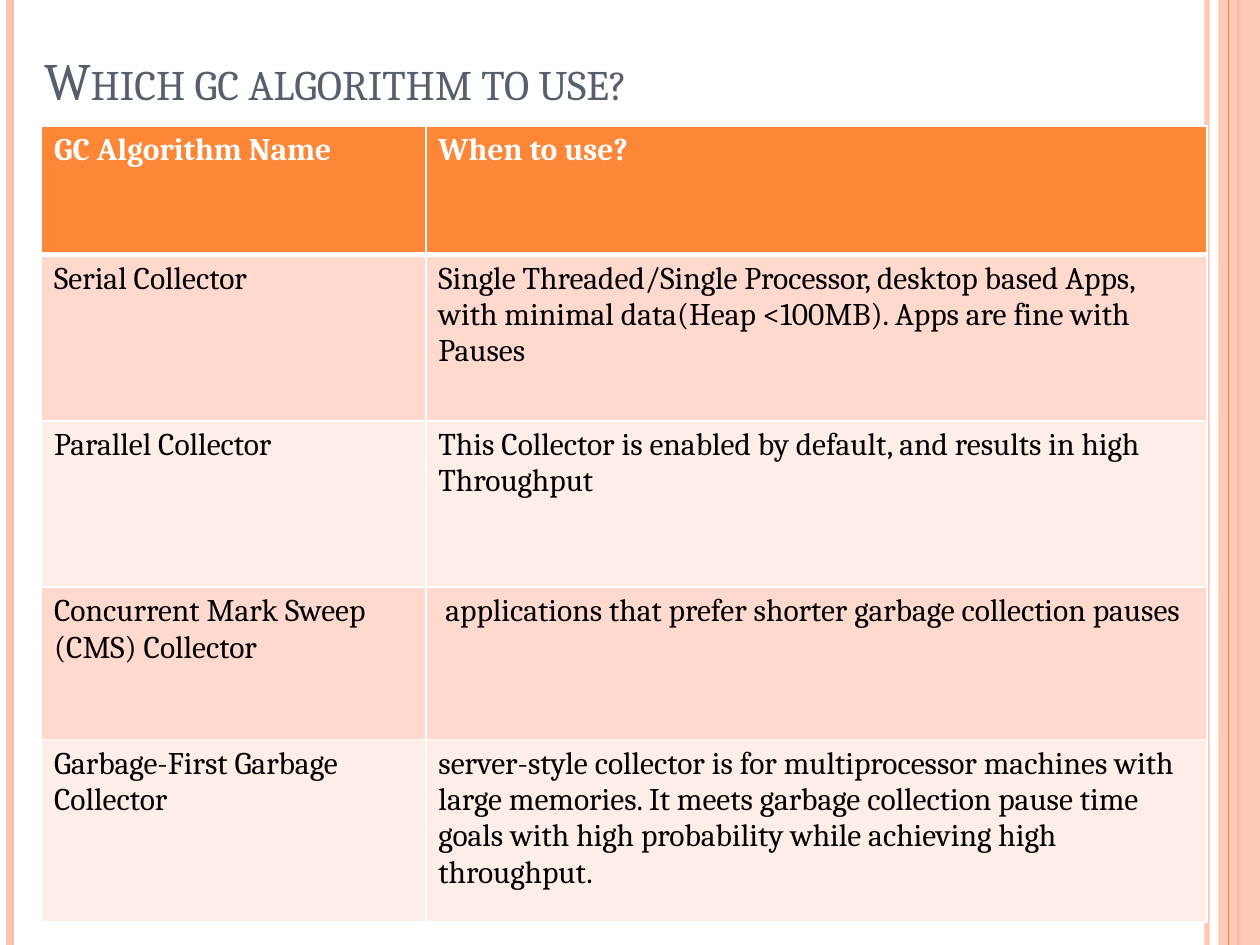
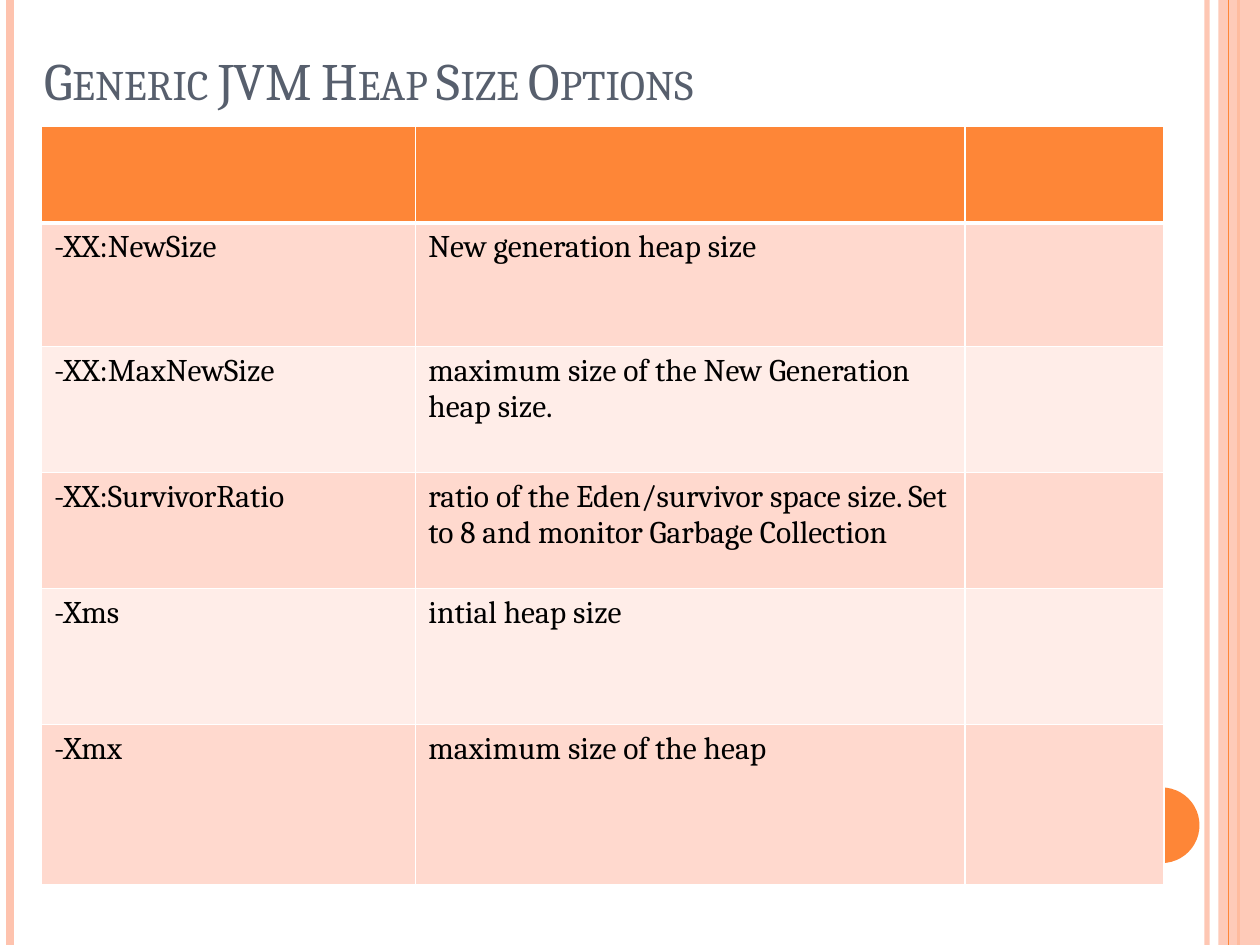
from pptx import Presentation
from pptx.dml.color import RGBColor
from pptx.enum import shapes, text
from pptx.oxml import parse_xml
from pptx.oxml.ns import nsdecls, qn
from pptx.util import Inches, Pt

FONT = "Cambria"
ORANGE, PEACH, SLATE = "FE8637", "FEC3AE", "575F6D"
WHITE, BLACK = "FFFFFF", "000000"
BANDS = ["FFD9CE", "FFEDE8"]


def paint(target, color, alpha=100):
    """Give a fill or line format a solid colour, with optional opacity."""
    target.solid()
    target.fore_color.rgb = RGBColor.from_string(color)
    if alpha < 100:
        clr = target._xPr.find(".//" + qn("a:srgbClr"))
        clr.append(parse_xml(
            f'<a:alpha {nsdecls("a")} val="{alpha * 1000}"/>'))


def write(para, words, size, color, bold=False):
    run = para.add_run()
    run.text = words
    run.font.name, run.font.size, run.font.bold = FONT, Pt(size), bold
    run.font.color.rgb = RGBColor.from_string(color)
    return run


def rule(slide, x, color, width, alpha=100):
    """Full-height vertical line."""
    line = slide.shapes.add_connector(
        shapes.MSO_CONNECTOR.STRAIGHT,
        Inches(x), Inches(0), Inches(x), Inches(7.5))
    line.line.width = Pt(width)
    paint(line.line.fill, color, alpha)
    line._element.spPr.append(parse_xml(f'<a:effectLst {nsdecls("a")}/>'))


def block(slide, kind, box, color, alpha=100):
    shape = slide.shapes.add_shape(kind, *map(Inches, box))
    shape.shadow.inherit = False
    shape.line.fill.background()
    paint(shape.fill, color, alpha)


def frame(slide):
    """Side rules, right band and the page dot."""
    rule(slide, 9.58, PEACH, 3, 93)
    rule(slide, 0.08, PEACH, 4.5)
    rule(slide, 9.83, ORANGE, 1.5)
    block(slide, shapes.MSO_SHAPE.RECTANGLE, (9.67, 0, 0.33, 7.5), PEACH, 87)
    rule(slide, 9.75, ORANGE, 0.75)
    block(slide, shapes.MSO_SHAPE.OVAL, (8.92, 6.25, 0.6, 0.6), ORANGE)


def head(slide, words, box):
    """Small-caps title in the title placeholder."""
    title = slide.shapes.title
    title.left, title.top, title.width, title.height = map(Inches, box)
    body = title.text_frame
    body.word_wrap = True
    body.auto_size = text.MSO_AUTO_SIZE.NONE
    body.vertical_anchor = text.MSO_ANCHOR.BOTTOM
    para = body.paragraphs[0]
    para.alignment = text.PP_ALIGN.LEFT
    run = write(para, words, 30, SLATE)
    run.font._element.set("cap", "small")


def edges(cell, row):
    """White cell borders, heavier between header and body."""
    props = cell._tc.get_or_add_tcPr()
    widths = {"L": 1, "R": 1, "T": 3 if row == 1 else 1,
              "B": 3 if row == 0 else 1}
    for side, width in widths.items():
        props.append(parse_xml(
            f'<a:ln{side} {nsdecls("a")} w="{Pt(width)}"><a:solidFill>'
            f'<a:srgbClr val="{WHITE}"/></a:solidFill></a:ln{side}>'))


def grid(slide, left, top, cols, rows, data):
    """Banded table with an orange header row."""
    table = slide.shapes.add_table(
        len(rows), len(cols), Inches(left), Inches(top),
        Inches(sum(cols)), Inches(sum(rows))).table
    for col, width in zip(table.columns, cols):
        col.width = Inches(width)
    for r, height in enumerate(rows):
        table.rows[r].height = Inches(height)
        for c in range(len(cols)):
            cell = table.cell(r, c)
            edges(cell, r)
            paint(cell.fill, BANDS[(r - 1) % 2] if r else ORANGE)
            if c < len(data[r]):
                write(cell.text_frame.paragraphs[0], data[r][c], 18,
                      BLACK if r else WHITE, bold=r == 0)


def page(deck, title, cols, rows, data):
    slide = deck.slides.add_slide(deck.slide_layouts[5])
    frame(slide)
    head(slide, title, (0.25, 0.33, 9.42, 0.6))
    grid(slide, 0.33, 1, cols, rows, data)


deck = Presentation()
deck.slide_width, deck.slide_height = Inches(10), Inches(7.5)

# Choice of collector
page(deck, "Which gc algorithm to use?",
     [3.05, 6.2], [1.02, 1.32, 1.32, 1.21, 1.45], [
         ("GC Algorithm Name", "When to use?"),
         ("Serial Collector",
          "Single Threaded/Single Processor, desktop based Apps, with minimal "
          "data(Heap <100MB). Apps are fine with Pauses"),
         ("Parallel Collector",
          "This Collector is enabled by default, and results in high "
          "Throughput"),
         ("Concurrent Mark Sweep (CMS) Collector",
          "\u00a0applications that prefer shorter garbage collection pauses"),
         ("Garbage-First Garbage Collector",
          "server-style collector is for multiprocessor machines with large "
          "memories. It meets garbage collection pause time goals with high "
          "probability while achieving high throughput."),
     ])

# Heap options: the header row and last column are blank
page(deck, "Generic JVM Heap Size Options",
     [2.97, 4.36, 1.58], [0.77, 0.98, 1, 0.92, 1.08, 1.27], [
         (),
         ("-XX:NewSize", "New generation heap size"),
         ("-XX:MaxNewSize", "maximum size of the New Generation heap size."),
         ("-XX:SurvivorRatio",
          "ratio of the Eden/survivor space size. Set to 8 and monitor "
          "Garbage Collection"),
         ("-Xms", "intial heap size"),
         ("-Xmx", "maximum size of the heap"),
     ])

deck.save("out.pptx")
